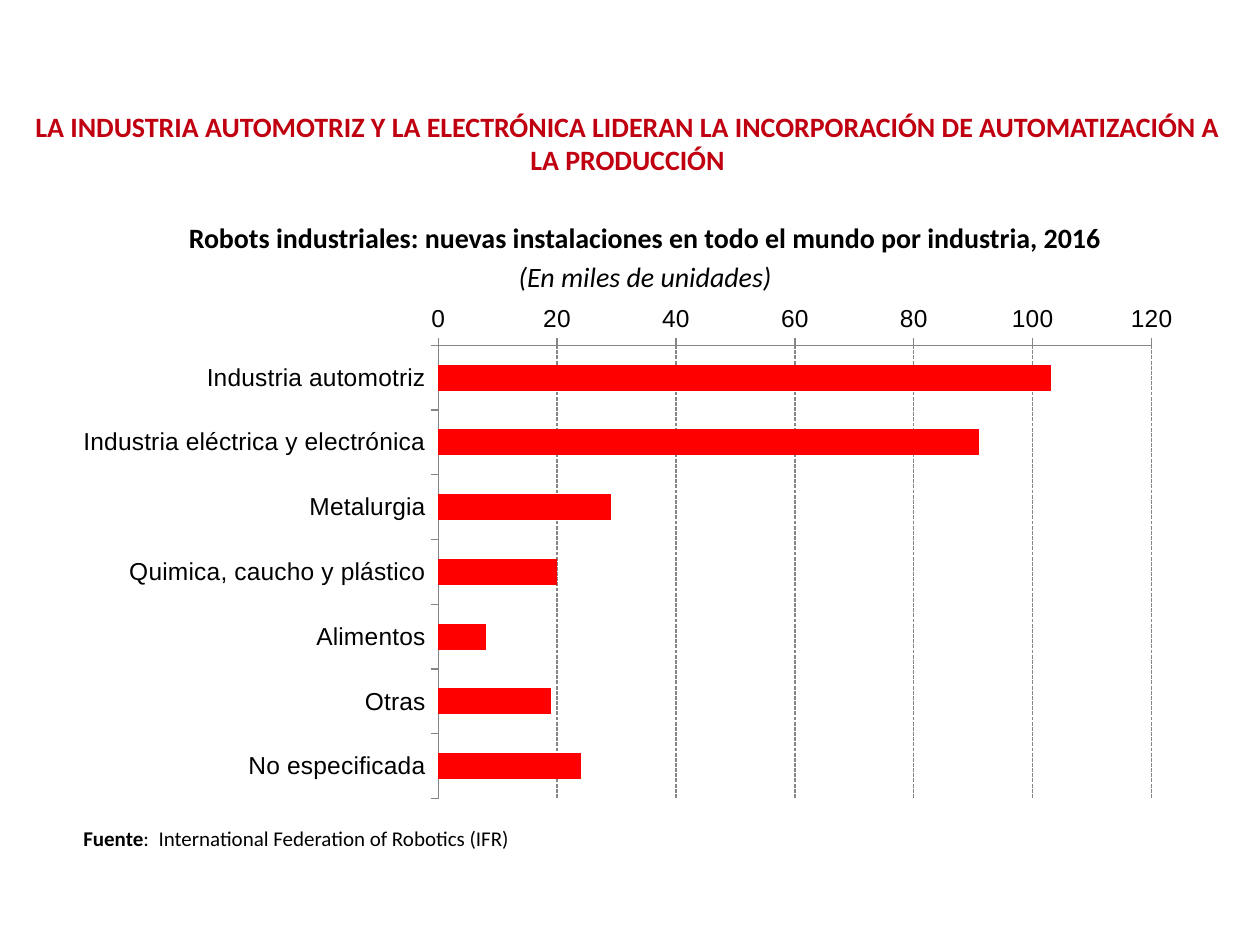
from dataclasses import dataclass

import pptx
import pptx.chart.data
import pptx.dml.color
import pptx.enum.chart
import pptx.enum.dml
import pptx.enum.text
import pptx.oxml
import pptx.oxml.ns
import pptx.util
from pptx.util import Cm, Pt

BLACK, GREY, RED, TITLE_RED = "000000", "868686", "FF0000", "C00011"
CENTER = pptx.enum.text.PP_ALIGN.CENTER
LEFT = pptx.enum.text.PP_ALIGN.LEFT

INSTALLATIONS = {
    "Industria automotriz": 103,
    "Industria eléctrica y electrónica": 91,
    "Metalurgia": 29,
    "Quimica, caucho y plástico": 20,
    "Alimentos": 8,
    "Otras": 19,
    "No especificada": 24,
}


@dataclass
class Span:
    text: str
    size: float
    color: str = BLACK
    bold: bool = False
    italic: bool = False


@dataclass
class Area:
    left: float
    top: float
    width: float
    height: float

    def lengths(self) -> tuple:
        return Cm(self.left), Cm(self.top), Cm(self.width), Cm(self.height)


def rgb(color: str) -> pptx.dml.color.RGBColor:
    return pptx.dml.color.RGBColor.from_string(color)


def write(box, paragraphs: list[list[Span]], align, anchor, margins=(0.25, 0.13), gap: float = 0) -> None:
    frame = box.text_frame
    frame.word_wrap = True
    frame.auto_size = pptx.enum.text.MSO_AUTO_SIZE.NONE
    frame.vertical_anchor = anchor
    frame.margin_left = frame.margin_right = Cm(margins[0])
    frame.margin_top = frame.margin_bottom = Cm(margins[1])
    for index, spans in enumerate(paragraphs):
        para = frame.add_paragraph() if index else frame.paragraphs[0]
        para.alignment = align
        para.space_before = Pt(gap if index else 0)
        for span in spans:
            run = para.add_run()
            run.text = span.text
            run.font.name = "Calibri"
            run.font.size = Pt(span.size)
            run.font.bold = span.bold
            run.font.italic = span.italic
            run.font.color.rgb = rgb(span.color)


def style_line(line, dashed: bool = False) -> None:
    line.color.rgb = rgb(GREY)
    line.width = Pt(0.75)
    if dashed:
        line.dash_style = pptx.enum.dml.MSO_LINE.SQUARE_DOT


def fix_plot_area(chart, left: float, top: float, width: float, height: float) -> None:
    """Place the inner plot area, in fractions of the chart."""
    plot_area = chart._chartSpace.chart.plotArea
    for old in plot_area.findall(pptx.oxml.ns.qn("c:layout")):
        plot_area.remove(old)
    sizes = "".join(
        f'<c:{tag} val="{value}"/>'
        for tag, value in zip("xywh", (left, top, width, height))
    )
    plot_area.insert(0, pptx.oxml.parse_xml(
        f'<c:layout {pptx.oxml.ns.nsdecls("c")}><c:manualLayout>'
        '<c:layoutTarget val="inner"/><c:xMode val="edge"/><c:yMode val="edge"/>'
        f"{sizes}</c:manualLayout></c:layout>"
    ))


def add_bar_chart(page, area: Area, values: dict[str, int]) -> None:
    data = pptx.chart.data.CategoryChartData()
    data.categories = list(values)
    data.add_series("Series 1", list(values.values()))
    kind = pptx.enum.chart.XL_CHART_TYPE.BAR_CLUSTERED
    chart = page.shapes.add_chart(kind, *area.lengths(), data).chart
    chart.has_legend = False
    chart.has_title = False
    chart.font.name = "Arial"
    chart.font.size = Pt(14)
    chart.font.color.rgb = rgb(BLACK)

    plot = chart.plots[0]
    plot.gap_width = 150
    plot.vary_by_categories = False
    fill = plot.series[0].format.fill
    fill.solid()
    fill.fore_color.rgb = rgb(RED)

    for axis in (chart.category_axis, chart.value_axis):
        axis.major_tick_mark = pptx.enum.chart.XL_TICK_MARK.OUTSIDE
        axis.minor_tick_mark = pptx.enum.chart.XL_TICK_MARK.NONE
        style_line(axis.format.line)
    chart.category_axis.reverse_order = True
    scale = chart.value_axis
    scale.minimum_scale, scale.maximum_scale, scale.major_unit = 0, 120, 20
    scale.tick_labels.number_format = "#,##0"
    scale.tick_labels.number_format_is_linked = False
    scale.has_major_gridlines = True
    style_line(scale.major_gridlines.format.line, dashed=True)
    fix_plot_area(chart, 0.33, 0.1, 0.63, 0.88)


def main() -> None:
    deck = pptx.Presentation()
    deck.slide_width, deck.slide_height = Cm(25.4), Cm(19.05)
    page = deck.slides.add_slide(deck.slide_layouts[5])
    anchor = pptx.enum.text.MSO_ANCHOR

    # Title
    title = page.shapes.title
    title.left, title.top, title.width, title.height = Area(0.28, 2.26, 24.74, 1.24).lengths()
    headline = ("LA INDUSTRIA AUTOMOTRIZ Y LA ELECTRÓNICA LIDERAN LA "
                "INCORPORACIÓN DE AUTOMATIZACIÓN A LA PRODUCCIÓN")
    write(title, [[Span(headline, 16, TITLE_RED, bold=True)]], CENTER, anchor.MIDDLE)

    # Chart
    add_bar_chart(page, Area(1.3, 5.92, 22.83, 10.39), INSTALLATIONS)

    # Chart heading
    heading = page.shapes.add_textbox(*Area(3.1, 4.32, 19.81, 1.78).lengths())
    write(heading, [
        [Span("Robots industriales: nuevas instalaciones en todo el mundo por industria, 2016", 16, bold=True)],
        [Span("(En miles de unidades)", 16, italic=True)],
    ], CENTER, anchor.TOP, gap=3.2)

    # Source
    source = page.shapes.add_textbox(*Area(1.5, 16.54, 9.1, 0.71).lengths())
    write(source, [[
        Span("Fuente", 12, bold=True),
        Span(":  International Federation of Robotics (IFR)", 12),
    ]], LEFT, anchor.TOP, margins=(0.18, 0.1))

    deck.save("out.pptx")


if __name__ == "__main__":
    main()
